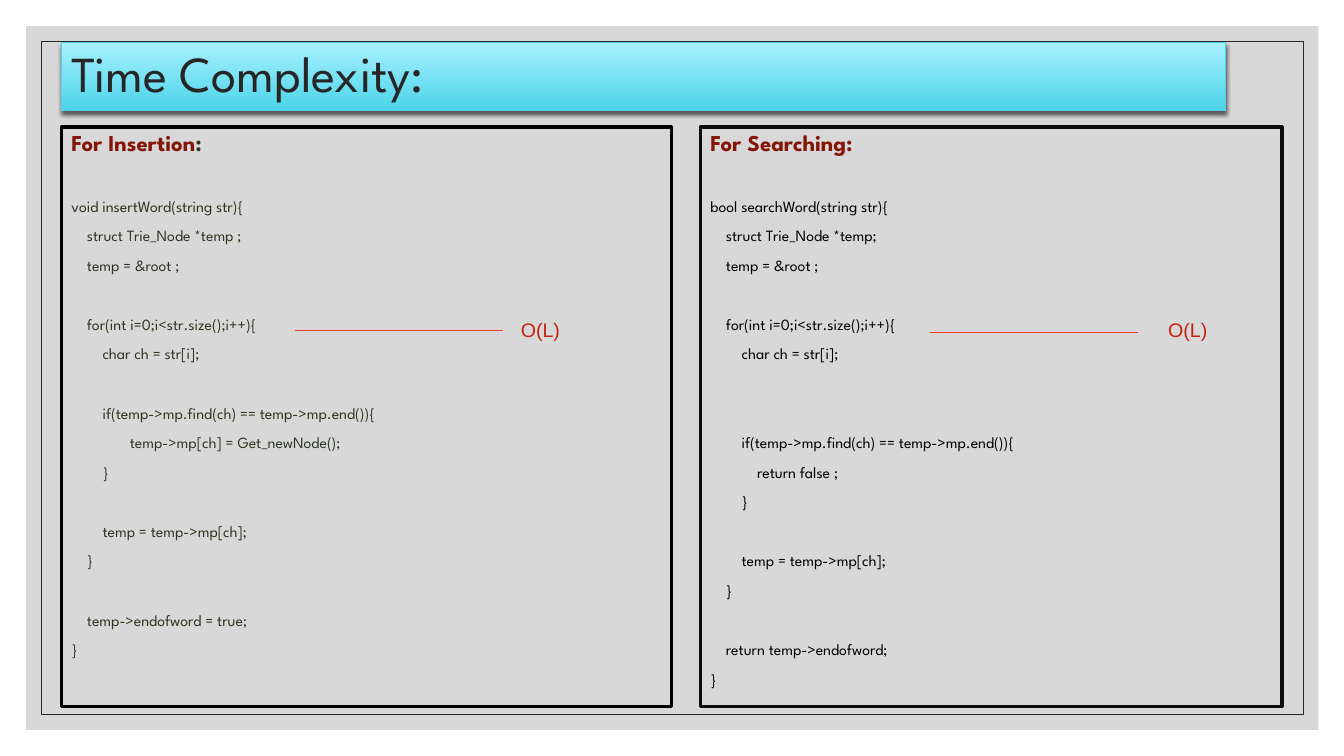
import pptx
import pptx.util
import pptx.dml.color
import pptx.enum.shapes
import pptx.enum.text
import pptx.oxml
import pptx.oxml.ns
from lxml import etree

Pt = pptx.util.Pt
RECT = pptx.enum.shapes.MSO_SHAPE.RECTANGLE
ANCHOR = pptx.enum.text.MSO_ANCHOR
FONT = "League Spartan"
CODE_SIZE, SPACE_WIDTH = 11.2, 2.78
GAP, LINE_PITCH = 9, 21.14

INSERTION = """
void insertWord(string str){
    struct Trie_Node *temp ;
    temp = &root ;

    for(int i=0;i<str.size();i++){
        char ch = str[i];

        if(temp->mp.find(ch) == temp->mp.end()){
               temp->mp[ch] = Get_newNode();
        }

        temp = temp->mp[ch];
    }

    temp->endofword = true;
}"""

SEARCHING = """
bool searchWord(string str){
    struct Trie_Node *temp;
    temp = &root ;

    for(int i=0;i<str.size();i++){
        char ch = str[i];


        if(temp->mp.find(ch) == temp->mp.end()){
            return false ;
        }

        temp = temp->mp[ch];
    }

    return temp->endofword;
}"""


def rgb(color):
    """Turn a hex string into a colour."""
    return pptx.dml.color.RGBColor.from_string(color)


def set_font(font, size, color, name=FONT, bold=False):
    """Set size, colour, typeface and weight of a font."""
    font.size, font.name, font.bold = Pt(size), name, bold
    font.color.rgb = rgb(color)


def add_rect(s, box, line=None, width=0.75):
    """Add an unfilled, shadowless rectangle with left, top-aligned text."""
    sp = s.shapes.add_shape(RECT, *map(Pt, box))
    sp.shadow.inherit = False
    sp.fill.background()
    if line:
        sp.line.color.rgb = rgb(line)
        sp.line.width = Pt(width)
    else:
        sp.line.fill.background()
    sp.text_frame.vertical_anchor = ANCHOR.TOP
    sp.text_frame.paragraphs[0].alignment = pptx.enum.text.PP_ALIGN.LEFT
    return sp


def add_frame(s, box):
    """Add the grey sheet and the thin border inside it."""
    x, y, w, h = box
    sheet = add_rect(s, box)
    sheet.fill.solid()
    sheet.fill.fore_color.rgb = rgb("BFBFBF")
    clr = sheet.fill._xPr.find(".//" + pptx.oxml.ns.qn("a:srgbClr"))
    etree.SubElement(clr, pptx.oxml.ns.qn("a:alpha"), val="60000")
    inset = 10.8
    add_rect(s, (x + inset, y + inset, w - 2 * inset, h - 2 * inset), "262626")


def add_title(s, box, text):
    """Add the title on a cyan gradient bar with a soft shadow."""
    sp = add_rect(s, box, "4FD0E5", 0.5)
    sp.fill.gradient()
    sp.fill.gradient_angle = 270
    for stop, color in zip(sp.fill.gradient_stops, ("A9F1FF", "4AD3E9")):
        stop.color.rgb = rgb(color)
    effects = sp._element.spPr.find(pptx.oxml.ns.qn("a:effectLst"))
    effects.append(pptx.oxml.parse_xml(
        '<a:outerShdw %s blurRad="38100" dist="25400" dir="5400000" rotWithShape="0">'
        '<a:srgbClr val="000000"><a:alpha val="60000"/></a:srgbClr></a:outerShdw>'
        % pptx.oxml.ns.nsdecls("a")))
    tf = sp.text_frame
    tf.vertical_anchor = ANCHOR.MIDDLE
    p = tf.paragraphs[0]
    p.text, p.line_spacing = text, 0.9
    set_font(p.font, 36, "262626")


def add_code(tf, code, color):
    """Add code lines; blank lines become spacing, leading spaces indents."""
    blanks = 0
    for line in code.split("\n"):
        text = line.lstrip()
        if not text:
            blanks += 1
            continue
        p = tf.add_paragraph()
        p.text, p.line_spacing = text, 0.9
        p.alignment = pptx.enum.text.PP_ALIGN.LEFT
        p.space_before = Pt(GAP + blanks * LINE_PITCH)
        indent = Pt((len(line) - len(text)) * SPACE_WIDTH)
        p._p.get_or_add_pPr().set("marL", str(int(indent)))
        set_font(p.font, CODE_SIZE, color)
        blanks = 0


def add_cost(s, x, y, length, label_x):
    """Add a red line at x, y that leads to its O(L) label."""
    line = s.shapes.add_connector(
        pptx.enum.shapes.MSO_CONNECTOR.STRAIGHT, Pt(x), Pt(y), Pt(x + length), Pt(y))
    line.line.color.rgb = rgb("F03F2B")
    line.line.width = Pt(0.75)
    etree.SubElement(line._element.spPr, pptx.oxml.ns.qn("a:effectLst"))
    tf = s.shapes.add_textbox(Pt(label_x), Pt(223.9), Pt(48), Pt(24.5)).text_frame
    tf.word_wrap = True
    p = tf.paragraphs[0]
    p.text = "O(L)"
    set_font(p.font, 14, "C6210E", "Arial")


def add_panel(s, box, heading, code, border, code_color, colon_color, cost):
    """Add a bordered panel with heading, code and the cost of its loop."""
    x, y = box[:2]
    tf = add_rect(s, box, border, 2.25).text_frame
    p = tf.paragraphs[0]
    p.line_spacing, p.space_before = 0.9, Pt(GAP)
    for text, color in ((heading, "841609"), (":", colon_color)):
        r = p.add_run()
        r.text = text
        set_font(r.font, 16.2, color, bold=True)
    add_code(tf, code, code_color)
    line_x, line_y, label_x = cost
    add_cost(s, x + line_x, y + line_y, 148.3, x + label_x)


prs = pptx.Presentation()
prs.slide_width, prs.slide_height = Pt(960), Pt(540)
s = prs.slides.add_slide(prs.slide_layouts[6])
add_frame(s, (18.7, 18.7, 923, 502.6))
add_title(s, (43.9, 30.2, 831.6, 49), "Time Complexity:")
add_panel(s, (43.9, 90.7, 435.6, 414), "For Insertion", INSERTION,
          "000000", "2E3722", "2E3722", (167, 145.5, 321))
add_panel(s, (500.4, 90.7, 415.4, 414), "For Searching", SEARCHING,
          "0D0D0D", "000000", "841609", (164.2, 146.9, 326.9))
prs.save("out.pptx")
